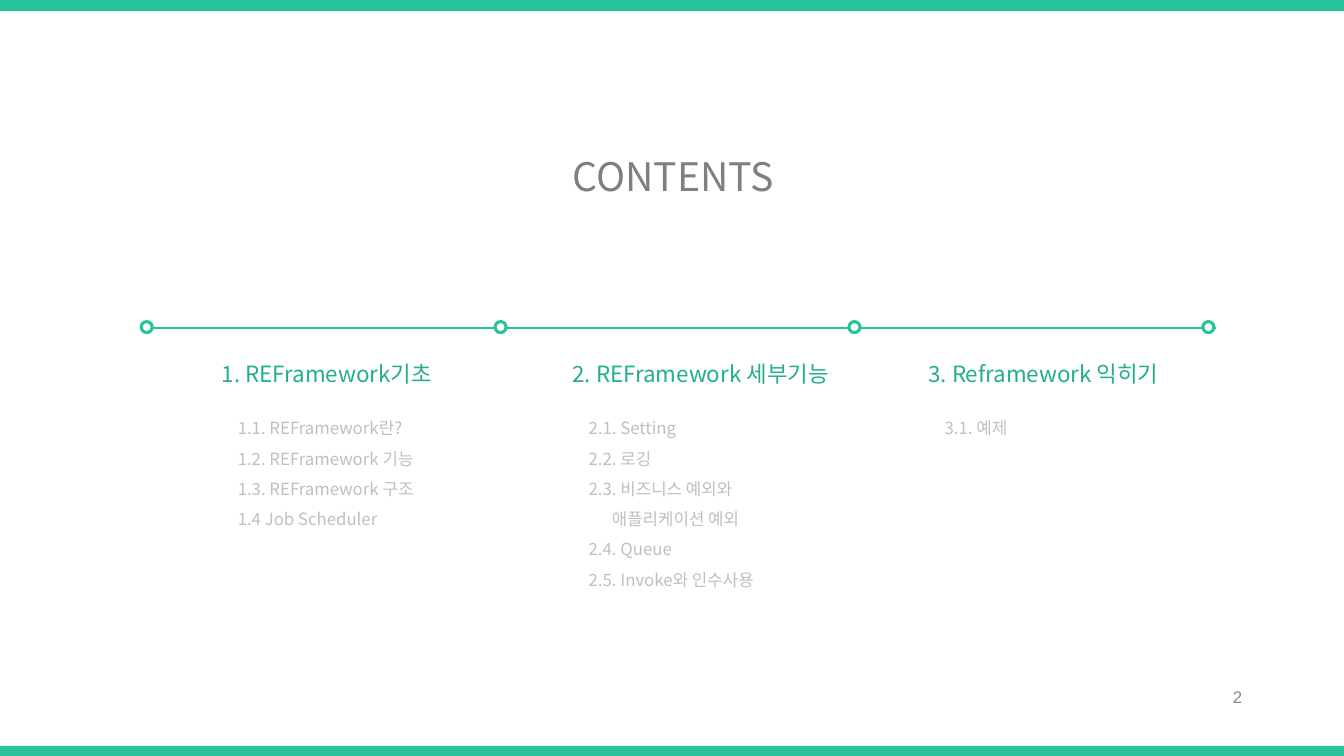
from lxml import etree
from pptx import Presentation
from pptx.dml.color import RGBColor
from pptx.enum.shapes import MSO_CONNECTOR, MSO_SHAPE
from pptx.enum.text import MSO_ANCHOR, MSO_AUTO_SIZE, PP_ALIGN
from pptx.oxml.ns import qn
from pptx.util import Inches, Pt

RECT, OVAL = MSO_SHAPE.RECTANGLE, MSO_SHAPE.OVAL
STRAIGHT = MSO_CONNECTOR.STRAIGHT
FIXED = MSO_AUTO_SIZE.NONE
LEFT, RIGHT = PP_ALIGN.LEFT, PP_ALIGN.RIGHT
TOP, MIDDLE = MSO_ANCHOR.TOP, MSO_ANCHOR.MIDDLE

GREEN = RGBColor(0x28, 0xC2, 0x9D)
DARK_GREEN = RGBColor(0x24, 0xAE, 0x8D)
GRAY = RGBColor(0x7F, 0x7F, 0x7F)
MID_GRAY = RGBColor(0x88, 0x88, 0x88)
PALE = RGBColor(0xBF, 0xBF, 0xBF)
WHITE = RGBColor(0xFF, 0xFF, 0xFF)
SANS = "Noto Sans CJK KR"

TITLE = "CONTENTS"
PAGE = "2"
# Left edge, heading, items as (text, indent)
PARTS = [
    (2.1, "1. REFramework기초", [
        ("1.1. REFramework란?", 0),
        ("1.2. REFramework 기능", 0),
        ("1.3. REFramework 구조", 0),
        ("1.4 Job Scheduler", 0),
    ]),
    (5.58, "2. REFramework 세부기능", [
        ("2.1. Setting", 0),
        ("2.2. 로깅", 0),
        ("2.3. 비즈니스 예외와", 0),
        ("애플리케이션 예외", 0.23),
        ("2.4. Queue", 0),
        ("2.5. Invoke와 인수사용", 0),
    ]),
    (9.11, "3. Reframework 익히기", [("3.1. 예제", 0)]),
]

TITLE_FONT = {"name": SANS, "size": Pt(28)}
HEAD_FONT = {"name": SANS, "size": Pt(16)}
ITEM_FONT = {"name": SANS, "size": Pt(12)}
PAGE_FONT = {"name": "Arial", "size": Pt(12)}

WIDE, HIGH = 13.33, 7.5
BAR = 0.11
DOT, DOT_X, DOT_Y, STEP = 0.11, 1.4, 3.19, 3.51


def put_text(box, lines, style, color, spacing=1.0, align=LEFT, anchor=TOP):
    frame = box.text_frame
    frame.word_wrap = True
    frame.auto_size = FIXED
    frame.vertical_anchor = anchor
    for i, (text, indent) in enumerate(lines):
        para = frame.paragraphs[0] if i == 0 else frame.add_paragraph()
        para.alignment = align
        para.line_spacing = spacing
        if indent:
            para._p.get_or_add_pPr().set("marL", str(Inches(indent)))
        run = para.add_run()
        run.text = text
        for key, value in style.items():
            setattr(run.font, key, value)
        run.font.color.rgb = color
        asian = etree.SubElement(run._r.get_or_add_rPr(), qn("a:ea"))
        asian.set("typeface", style["name"])


def add_box(shapes, x, y, w, h):
    return shapes.add_textbox(Inches(x), Inches(y), Inches(w), Inches(h))


def add_form(shapes, kind, x, y, w, h, fill):
    form = shapes.add_shape(kind, Inches(x), Inches(y), Inches(w), Inches(h))
    form.shadow.inherit = False
    form.fill.solid()
    form.fill.fore_color.rgb = fill
    return form


def main():
    deck = Presentation()
    deck.slide_width, deck.slide_height = Inches(WIDE), Inches(HIGH)
    slide = deck.slides.add_slide(deck.slide_layouts[5])
    shapes = slide.shapes

    for y in (0, 7.4):
        add_form(shapes, RECT, 0, y, WIDE, BAR, GREEN).line.fill.background()

    title = shapes.title
    title.left, title.top = Inches(5.58), Inches(1.23)
    title.width, title.height = Inches(2.37), Inches(0.81)
    put_text(title, [(TITLE, 0)], TITLE_FONT, GRAY, 1.5)

    mid = Inches(3.25)
    rail = shapes.add_connector(STRAIGHT, Inches(1.52), mid,
                                Inches(12.06), mid)
    rail.line.color.rgb = GREEN
    rail.line.width = Pt(1.5)
    etree.SubElement(rail._element.spPr, qn("a:effectLst"))
    for i in range(len(PARTS) + 1):
        dot = add_form(shapes, OVAL, DOT_X + i * STEP, DOT_Y, DOT, DOT, WHITE)
        dot.line.color.rgb = GREEN
        dot.line.width = Pt(2.25)

    for x, head, items in PARTS:
        put_text(add_box(shapes, x, 3.52, 2.81, 0.37), [(head, 0)],
                 HEAD_FONT, DARK_GREEN)
        put_text(add_box(shapes, x + 0.16, 4, 2.49, 0.1 + 0.3 * len(items)),
                 items, ITEM_FONT, PALE, 1.5)

    put_text(add_box(shapes, 9.42, 6.71, 3, 0.4), [(PAGE, 0)],
             PAGE_FONT, MID_GRAY, align=RIGHT, anchor=MIDDLE)
    deck.save("out.pptx")


if __name__ == "__main__":
    main()
